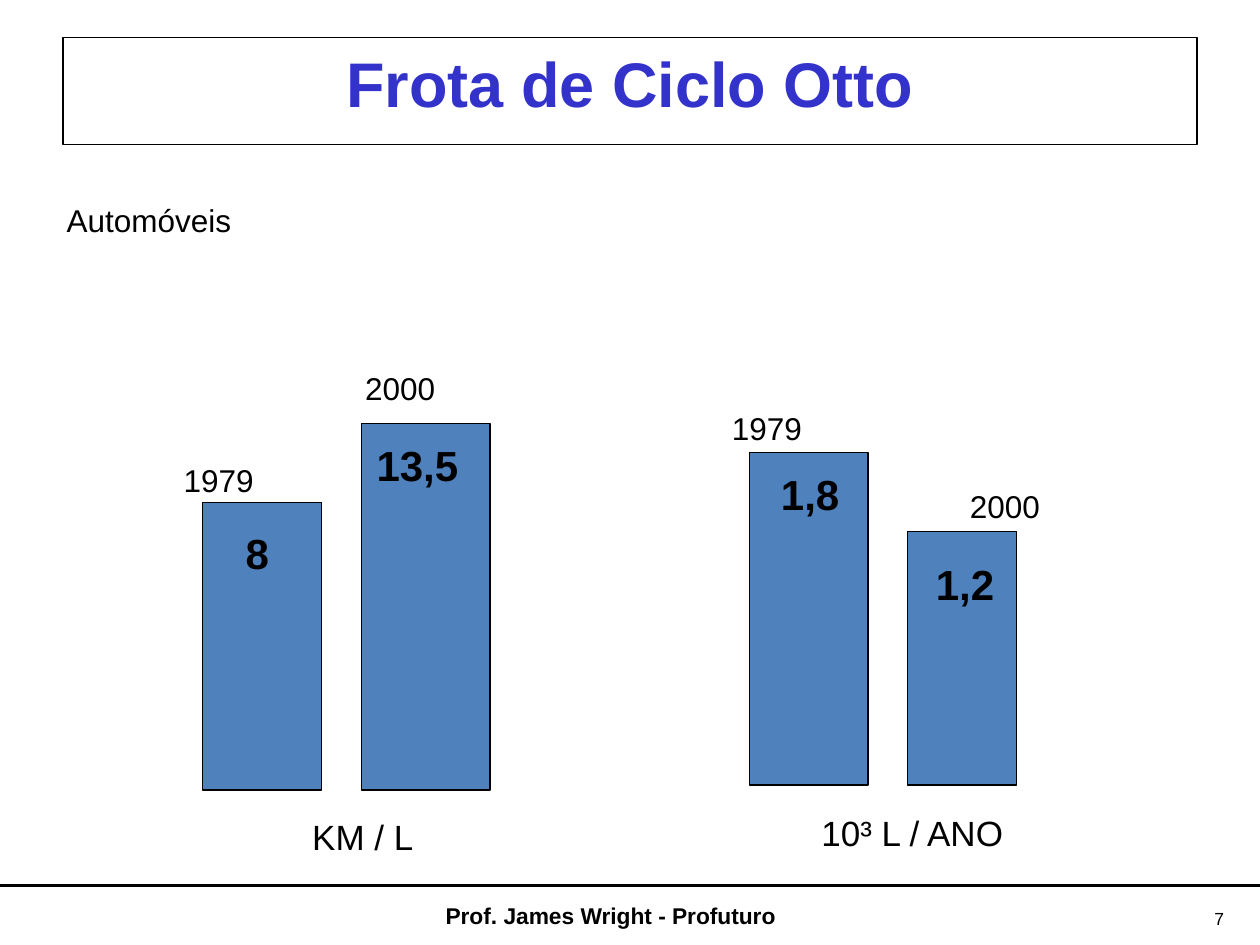
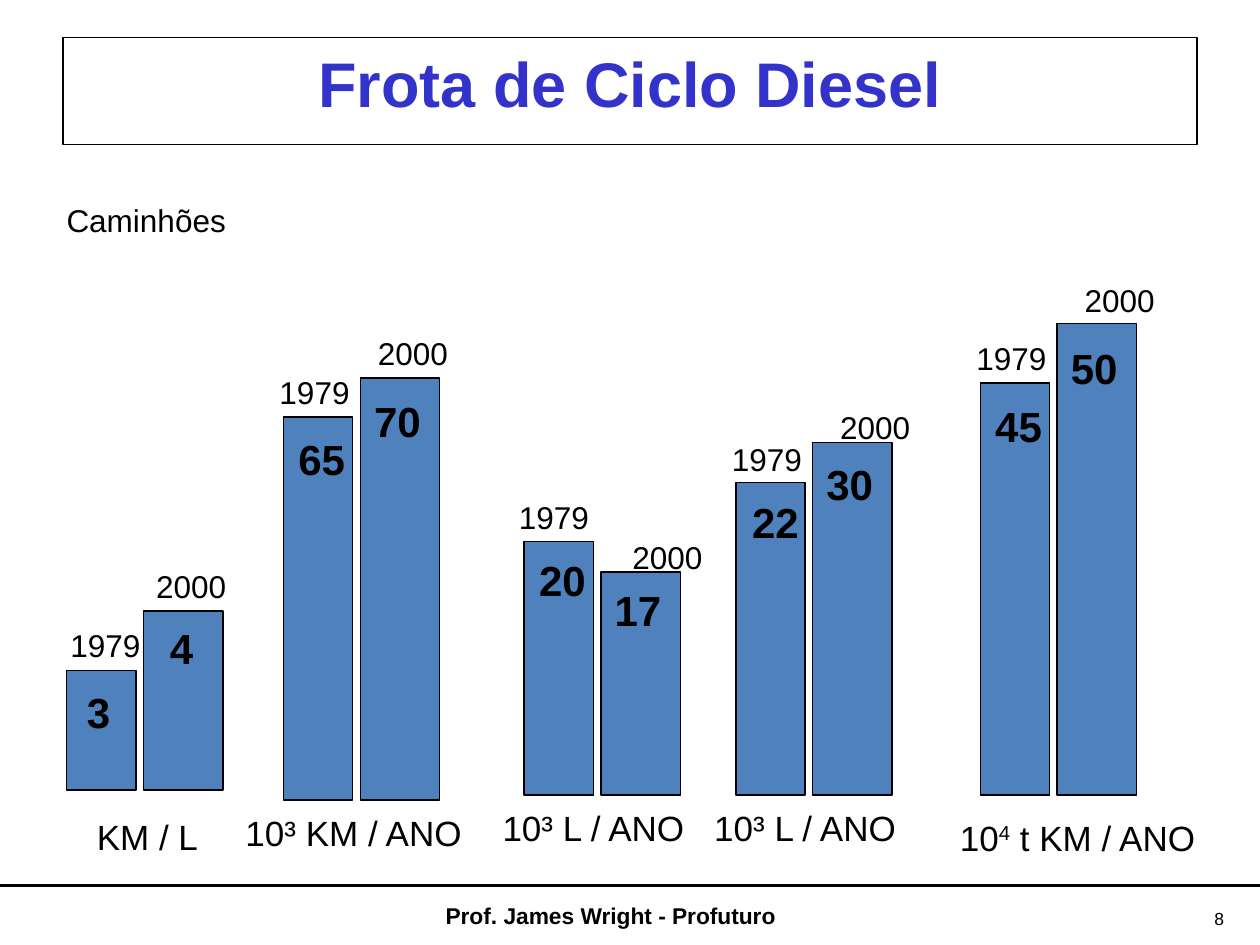
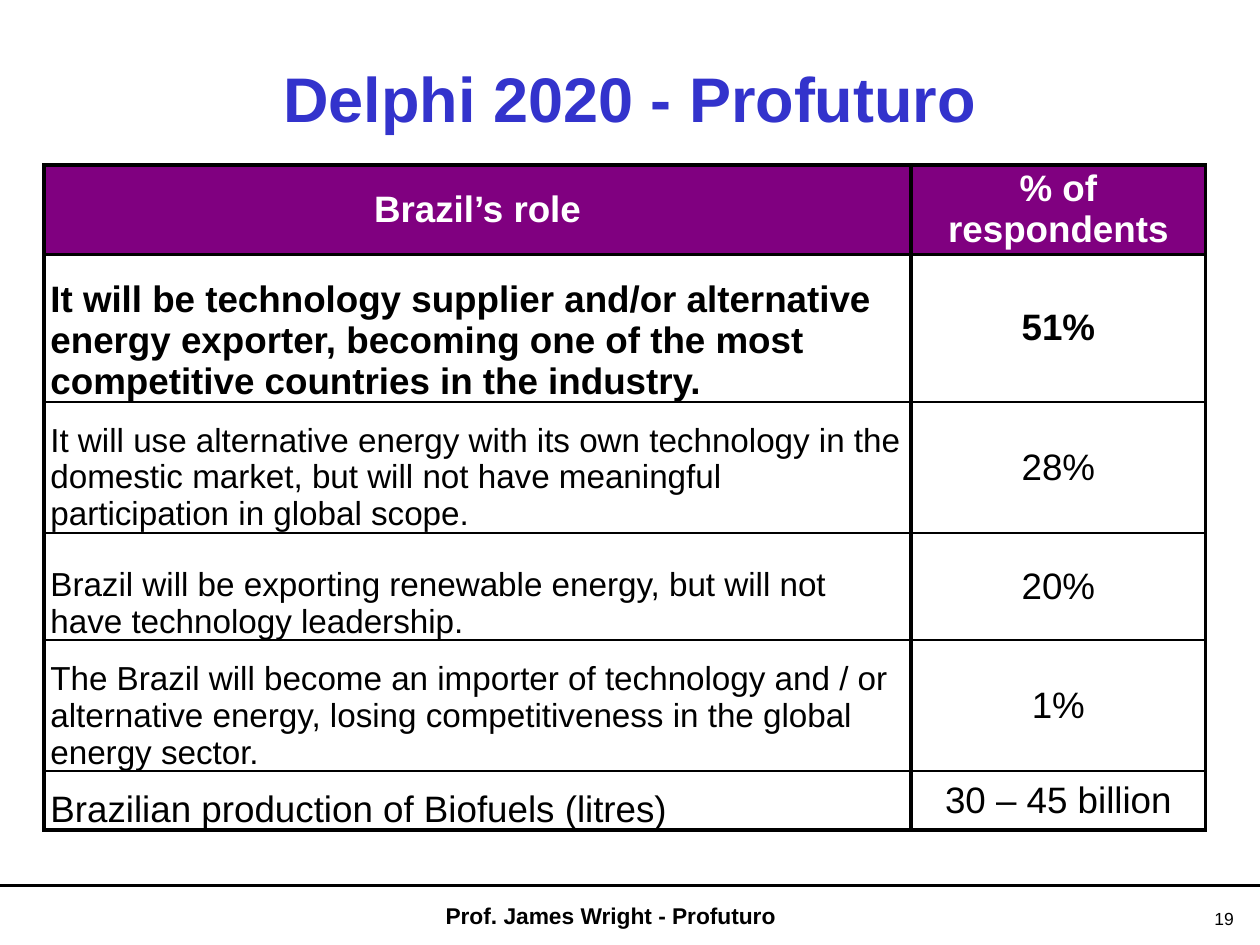
from lxml import etree
from pptx import Presentation
from pptx.dml.color import RGBColor
from pptx.enum.shapes import MSO_CONNECTOR, MSO_SHAPE
from pptx.enum.text import MSO_ANCHOR, PP_ALIGN
from pptx.oxml.ns import qn
from pptx.util import Inches, Pt

RECT = MSO_SHAPE.RECTANGLE
STRAIGHT = MSO_CONNECTOR.STRAIGHT
LEFT, CENTER = PP_ALIGN.LEFT, PP_ALIGN.CENTER
TOP, MIDDLE, BOTTOM = MSO_ANCHOR.TOP, MSO_ANCHOR.MIDDLE, MSO_ANCHOR.BOTTOM

W, H = 10, 7.5
FONT = "Arial"
COLORS = {"title": "3333CC", "ink": "000000", "paper": "FFFFFF",
          "bar": "4F81BD", "header": "800080"}
FOOTER = "Prof. James Wright - Profuturo"
YEARS = ("1979", "2000")
WIDE = ((0, 0.94), (1.26, 1.02))
FALLING = ((0, 0.94), (1.25, 0.87))
NARROW = ((0, 0.55), (0.61, 0.63))

BAR_SLIDES = [
    {"number": 7, "title": "Frota de Ciclo Otto", "subtitle": "Automóveis", "groups": [
        {"left": 1.61, "base": 6.27, "columns": WIDE,
         "label": ["KM / L"], "label_at": (2.38, 6.42, 1.1),
         "bars": [("8", 2.28, (0.24, 0.15), (-0.25, -0.38)),
                  ("13,5", 2.91, (0.02, 0.08), (-0.07, -0.48))]},
        {"left": 5.95, "base": 6.23, "columns": FALLING,
         "label": ["10³ L / ANO"], "label_at": (6.42, 6.39, 1.99),
         "bars": [("1,8", 2.64, (0.15, 0.08), (-0.24, -0.39)),
                  ("1,2", 2.01, (0.13, 0.16), (0.4, -0.4))]},
    ]},
    {"number": 8, "title": "Frota de Ciclo Diesel", "subtitle": "Caminhões", "groups": [
        {"left": 0.53, "base": 6.27, "columns": NARROW,
         "label": ["KM / L"], "label_at": (0.67, 6.42, 1.1),
         "bars": [("3", 0.95, (0.06, 0.08), (-0.07, -0.4)),
                  ("4", 1.42, (0.11, 0.04), (0, -0.4))]},
        {"left": 2.25, "base": 6.35, "columns": NARROW,
         "label": ["10³ KM / ANO"], "label_at": (1.85, 6.39, 1.96),
         "bars": [("65", 3.04, (0.02, 0.08), (-0.13, -0.4)),
                  ("70", 3.35, (0.01, 0.09), (0.04, -0.4))]},
        {"left": 4.16, "base": 6.31, "columns": NARROW,
         "label": ["10³ L / ANO"], "label_at": (3.89, 6.35, 1.7),
         "bars": [("20", 2.01, (0.02, 0.05), (-0.14, -0.4)),
                  ("17", 1.77, (0.01, 0.05), (0.15, -0.32))]},
        {"left": 5.84, "base": 6.31, "columns": NARROW,
         "label": ["10³ L / ANO"], "label_at": (5.57, 6.35, 1.7),
         "bars": [("22", 2.48, (0.03, 0.06), (-0.13, -0.39)),
                  ("30", 2.8, (0.01, 0.08), (0.12, -0.32))]},
        {"left": 7.78, "base": 6.31, "columns": NARROW,
         "label": ["10", "4", " t KM / ANO"], "label_at": (7.52, 6.43, 2.12),
         "bars": [("45", 3.27, (0.02, 0.09), (-0.13, -0.4)),
                  ("50", 3.74, (0.01, 0.1), (0.12, -0.39))]},
    ]},
]

TABLE_SLIDE = {
    "number": 19, "title": "Delphi 2020 - Profuturo",
    "columns": (6.88, 2.34),
    "rows": [
        (0.71, 21, "Brazil’s role", "% of respondents"),
        (1.17, 21, "It will be technology supplier and/or alternative energy exporter, "
         "becoming one of the most competitive countries in the industry.", "51%"),
        (1.04, 19, "It will use alternative energy with its own technology in the domestic "
         "market, but will not have meaningful participation in global scope.", "28%"),
        (0.85, 19, "Brazil will be exporting renewable energy, but will not have "
         "technology leadership.", "20%"),
        (1.04, 19, "The Brazil will become an importer of technology and / or alternative "
         "energy, losing competitiveness in the global energy sector.", "1%"),
        (0.47, 21, "Brazilian production of Biofuels (litres)", "30 – 45 billion"),
    ],
}


def rgb(name):
    return RGBColor.from_string(COLORS[name])


def write(tf, runs, size=18, color="ink", bold=False, align=LEFT):
    p = tf.paragraphs[0]
    p.alignment = align
    for i, text in enumerate([runs] if isinstance(runs, str) else runs):
        r = p.add_run()
        r.text = text
        r.font.name, r.font.size, r.font.bold = FONT, Pt(size), bold
        r.font.color.rgb = rgb(color)
        if i == 1:
            r._r.get_or_add_rPr().set("baseline", "30000")


def add_text(s, box, runs, wrap=False, anchor=TOP, **style):
    tf = s.shapes.add_textbox(*map(Inches, box)).text_frame
    tf.word_wrap = wrap
    tf.vertical_anchor = anchor
    write(tf, runs, **style)


def add_rect(s, box, fill):
    sp = s.shapes.add_shape(RECT, *map(Inches, box))
    sp.shadow.inherit = False
    sp.fill.solid()
    sp.fill.fore_color.rgb = rgb(fill)
    sp.line.color.rgb = rgb("ink")
    sp.line.width = Pt(0.75)
    return sp


def add_slide(prs, number):
    s = prs.slides.add_slide(prs.slide_layouts[6])
    rule = s.shapes.add_connector(STRAIGHT, 0, Inches(7.03), Inches(W), Inches(7.03))
    rule.line.color.rgb = rgb("ink")
    rule.line.width = Pt(1.5)
    etree.SubElement(rule._element.spPr, qn("a:effectLst"))
    add_text(s, (9.54, 7.16, 0.43, 0.26), str(number), wrap=True, size=10)
    add_text(s, (2.88, 7.11, 3.93, 0.32), FOOTER, wrap=True, size=13, bold=True, align=CENTER)
    return s


def add_group(s, group):
    for year, (offset, width), bar in zip(YEARS, group["columns"], group["bars"]):
        value, height, (value_dx, value_dy), (year_dx, year_dy) = bar
        left, top = group["left"] + offset, group["base"] - height
        add_rect(s, (left, top, width, height), "bar")
        commas = value.count(",")
        value_width = 0.2 + 0.19 * (len(value) - commas) + 0.09 * commas
        add_text(s, (left + value_dx, top + value_dy, value_width, 0.5), value,
                 size=24, bold=True)
        add_text(s, (left + year_dx, top + year_dy, 0.76, 0.4), year)
    add_text(s, (*group["label_at"], 0.43), group["label"], size=20)


def add_bar_slide(prs, data):
    s = add_slide(prs, data["number"])
    tf = add_rect(s, (0.5, 0.3, 9, 0.85), "paper").text_frame
    tf.word_wrap = True
    tf.vertical_anchor = TOP
    write(tf, data["title"], size=36, color="title", bold=True, align=CENTER)
    add_text(s, (0.43, 1.55, 2.2, 0.57), data["subtitle"])
    for group in data["groups"]:
        add_group(s, group)


def set_borders(cell, widths):
    tc_pr = cell._tc.get_or_add_tcPr()
    for i, (side, width) in enumerate(widths.items()):
        ln = etree.Element(qn("a:ln" + side), w=str(Pt(width)))
        fill = etree.SubElement(ln, qn("a:solidFill"))
        etree.SubElement(fill, qn("a:srgbClr"), val=COLORS["ink"])
        tc_pr.insert(i, ln)


def add_table_slide(prs, data):
    s = add_slide(prs, data["number"])
    add_text(s, (0.5, 0.3, 9, 0.95), data["title"], wrap=True, anchor=MIDDLE,
             size=36, color="title", bold=True, align=CENTER)
    rows, columns = data["rows"], data["columns"]
    box = (0.35, 1.31, sum(columns), sum(row[0] for row in rows))
    table = s.shapes.add_table(len(rows), len(columns), *map(Inches, box)).table
    table.first_row = table.horz_banding = False
    for column, width in zip(table.columns, columns):
        column.width = Inches(width)
    last = len(rows) - 1
    for i, (height, size, *texts) in enumerate(rows):
        table.rows[i].height = Inches(height)
        for j, text in enumerate(texts):
            cell = table.cell(i, j)
            cell.margin_left = cell.margin_right = Inches(0.05)
            cell.margin_top = cell.margin_bottom = 0
            centered = i == 0 or j == 1
            cell.vertical_anchor = MIDDLE if centered else BOTTOM
            if i == 0:
                cell.fill.solid()
                cell.fill.fore_color.rgb = rgb("header")
            else:
                cell.fill.background()
            write(cell.text_frame, text, size=21 if j else size, bold=i < 2,
                  color="ink" if i else "paper", align=CENTER if centered else LEFT)
            set_borders(cell, {"L": 2.25, "R": 2.25, "T": 2.25 if i < 2 else 1,
                               "B": 2.25 if i in (0, last) else 1})


def main():
    prs = Presentation()
    prs.slide_width, prs.slide_height = Inches(W), Inches(H)
    for data in BAR_SLIDES:
        add_bar_slide(prs, data)
    add_table_slide(prs, TABLE_SLIDE)
    prs.save("out.pptx")


if __name__ == "__main__":
    main()
